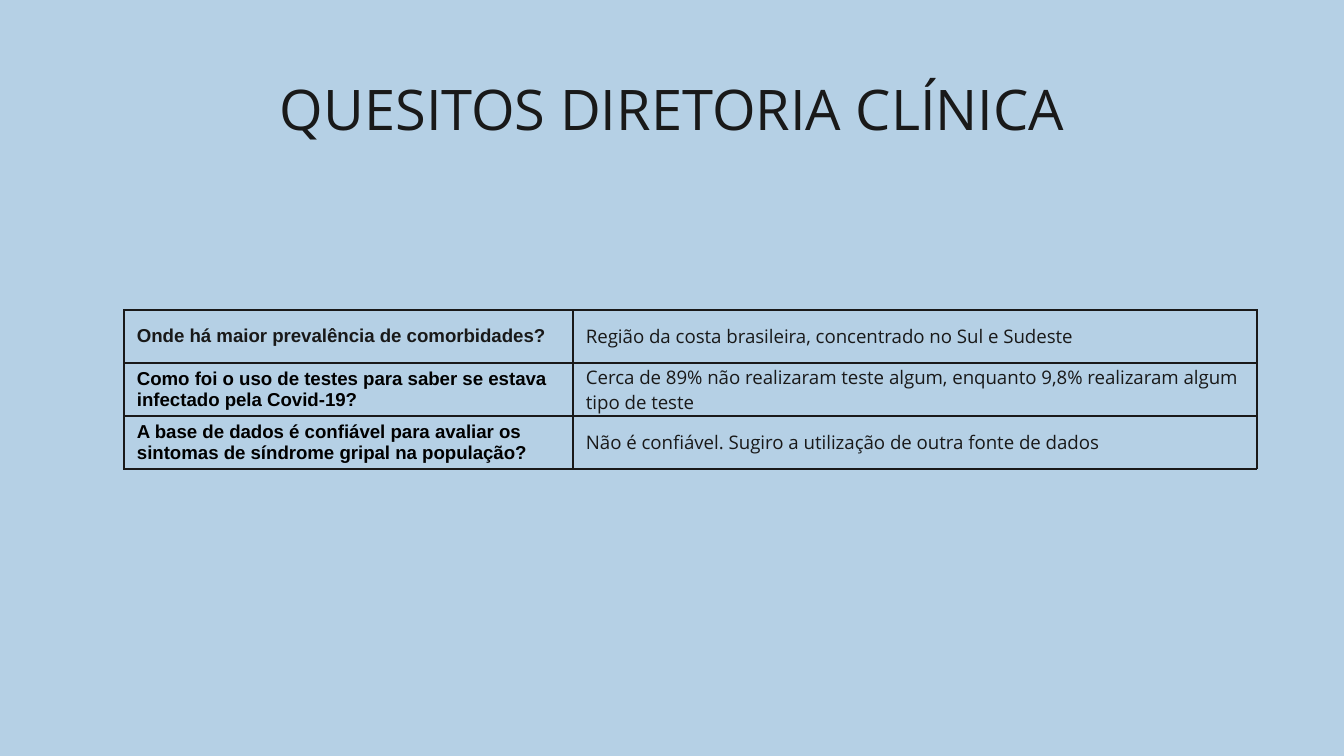
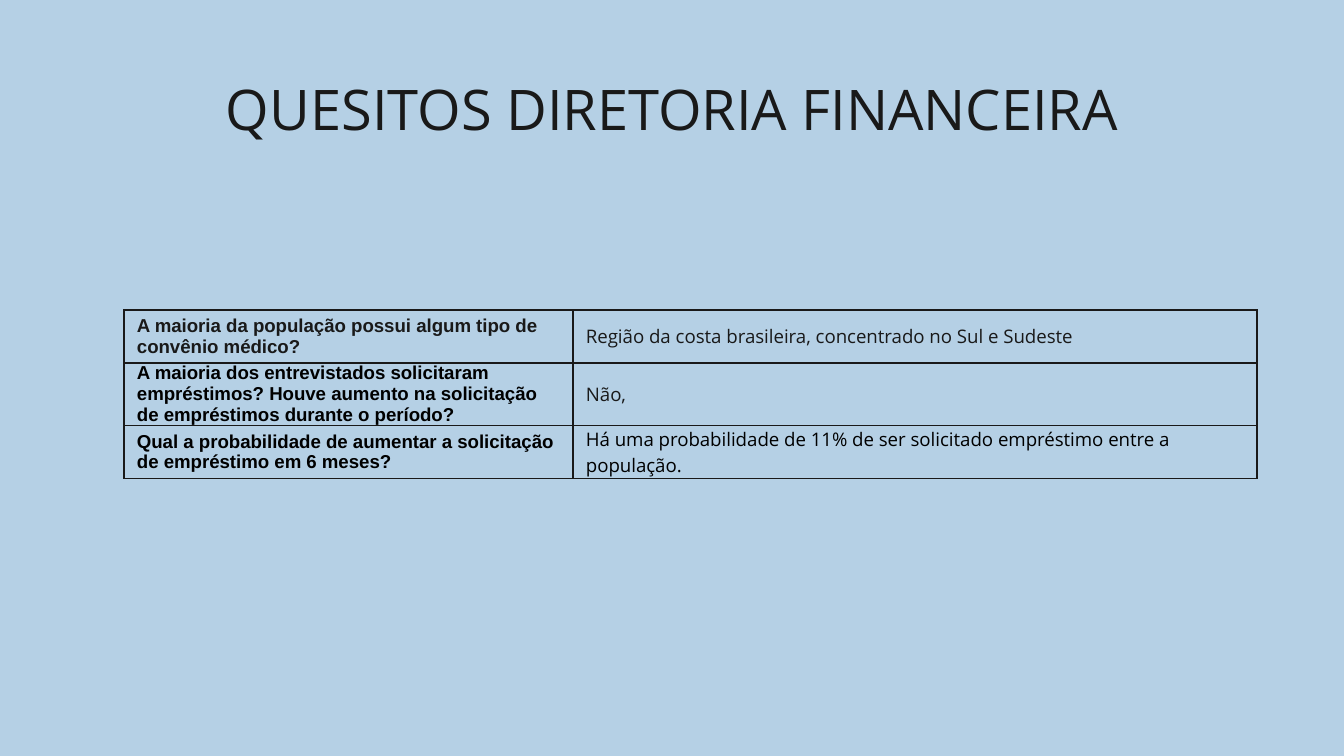
import pptx
import pptx.dml.color
import pptx.enum.text
import pptx.oxml
import pptx.oxml.ns
import pptx.util
import lxml.etree

COLORS = {"background": "B5D0E5", "ink": "191919", "black": "000000"}
QUESTION_FONT = "Arial"
ANSWER_FONT = "Open Sans"

# Each row: question, question colour, answer, answer colour
SLIDES = [
    ("QUESITOS DIRETORIA CLÍNICA", [
        ("Onde há maior prevalência de comorbidades?", "ink",
         "Região da costa brasileira, concentrado no Sul e Sudeste", "ink"),
        ("Como foi o uso de testes para saber se estava infectado pela Covid-19?", "black",
         "Cerca de 89% não realizaram teste algum, enquanto 9,8% realizaram algum tipo de teste",
         "ink"),
        ("A base de dados é confiável para avaliar os sintomas de síndrome gripal na população?",
         "black",
         "Não é confiável. Sugiro a utilização de outra fonte de dados", "ink"),
    ]),
    ("QUESITOS DIRETORIA FINANCEIRA", [
        ("A maioria da população possui algum tipo de convênio médico?", "ink",
         "Região da costa brasileira, concentrado no Sul e Sudeste", "ink"),
        ("A maioria dos entrevistados solicitaram empréstimos? Houve aumento na solicitação "
         "de empréstimos durante o período?", "black",
         "Não,", "ink"),
        ("Qual a probabilidade de aumentar a solicitação de empréstimo em 6 meses?", "black",
         "Há uma probabilidade de 11% de ser solicitado empréstimo entre a população.", "black"),
    ]),
]

SLIDE_SIZE = (1344, 756)
TITLE_BOX = (106, 66, 1133, 85)
TABLE_LEFT, TABLE_TOP = 124, 310
COLUMN_WIDTHS = (449, 684)
ROW_HEIGHT = 53
INSET = 13


def px(length):
    return pptx.util.Emu(round(length * 914400 / 134.4))


def rgb(name):
    return pptx.dml.color.RGBColor.from_string(COLORS[name])


def format_font(paragraph, name, size, color, bold=False):
    font = paragraph.font
    font.name = name
    font.size = pptx.util.Pt(size)
    font.bold = bold
    font.color.rgb = rgb(color)


def add_borders(cell):
    properties = cell._tc.get_or_add_tcPr()
    for side in ("lnL", "lnR", "lnT", "lnB"):
        line = lxml.etree.SubElement(properties, pptx.oxml.ns.qn(f"a:{side}"),
                                     w=str(pptx.util.Pt(0.75)))
        fill = lxml.etree.SubElement(line, pptx.oxml.ns.qn("a:solidFill"))
        lxml.etree.SubElement(fill, pptx.oxml.ns.qn("a:srgbClr"), val=COLORS["ink"])


def fill_cell(cell, text, font_name, color, bold, space_after):
    cell.margin_left = cell.margin_right = px(INSET)
    cell.margin_top = cell.margin_bottom = 0
    cell.vertical_anchor = pptx.enum.text.MSO_ANCHOR.MIDDLE
    add_borders(cell)
    cell.fill.background()
    cell.text = text
    paragraph = cell.text_frame.paragraphs[0]
    paragraph.space_after = pptx.util.Pt(space_after)
    format_font(paragraph, font_name, 10, color, bold)


def set_title(slide, text):
    title = slide.shapes.title
    title.left, title.top, title.width, title.height = map(px, TITLE_BOX)
    frame = title.text_frame
    frame.text = text
    frame.word_wrap = True
    frame.auto_size = pptx.enum.text.MSO_AUTO_SIZE.NONE
    frame.vertical_anchor = pptx.enum.text.MSO_ANCHOR.TOP
    frame.margin_left = frame.margin_right = px(INSET)
    frame.margin_top = frame.margin_bottom = px(INSET)
    paragraph = frame.paragraphs[0]
    paragraph.alignment = pptx.enum.text.PP_ALIGN.CENTER
    paragraph.line_spacing = 0.95
    format_font(paragraph, ANSWER_FONT, 30, "ink")


def add_question_table(slide, rows):
    table = slide.shapes.add_table(
        len(rows), len(COLUMN_WIDTHS), px(TABLE_LEFT), px(TABLE_TOP),
        px(sum(COLUMN_WIDTHS)), px(ROW_HEIGHT * len(rows))).table
    table.first_row = table.horz_banding = False
    for column, width in zip(table.columns, COLUMN_WIDTHS):
        column.width = px(width)
    for index, (question, question_color, answer, answer_color) in enumerate(rows):
        table.rows[index].height = px(ROW_HEIGHT)
        fill_cell(table.cell(index, 0), question, QUESTION_FONT, question_color, True, 0)
        fill_cell(table.cell(index, 1), answer, ANSWER_FONT, answer_color, False, 16)


def main():
    presentation = pptx.Presentation()
    presentation.slide_width, presentation.slide_height = map(px, SLIDE_SIZE)
    background = presentation.slide_master.background.fill
    background.solid()
    background.fore_color.rgb = rgb("background")
    title_only = presentation.slide_layouts.get_by_name("Title Only")
    for title, rows in SLIDES:
        slide = presentation.slides.add_slide(title_only)
        set_title(slide, title)
        add_question_table(slide, rows)
    presentation.save("out.pptx")


if __name__ == "__main__":
    main()
